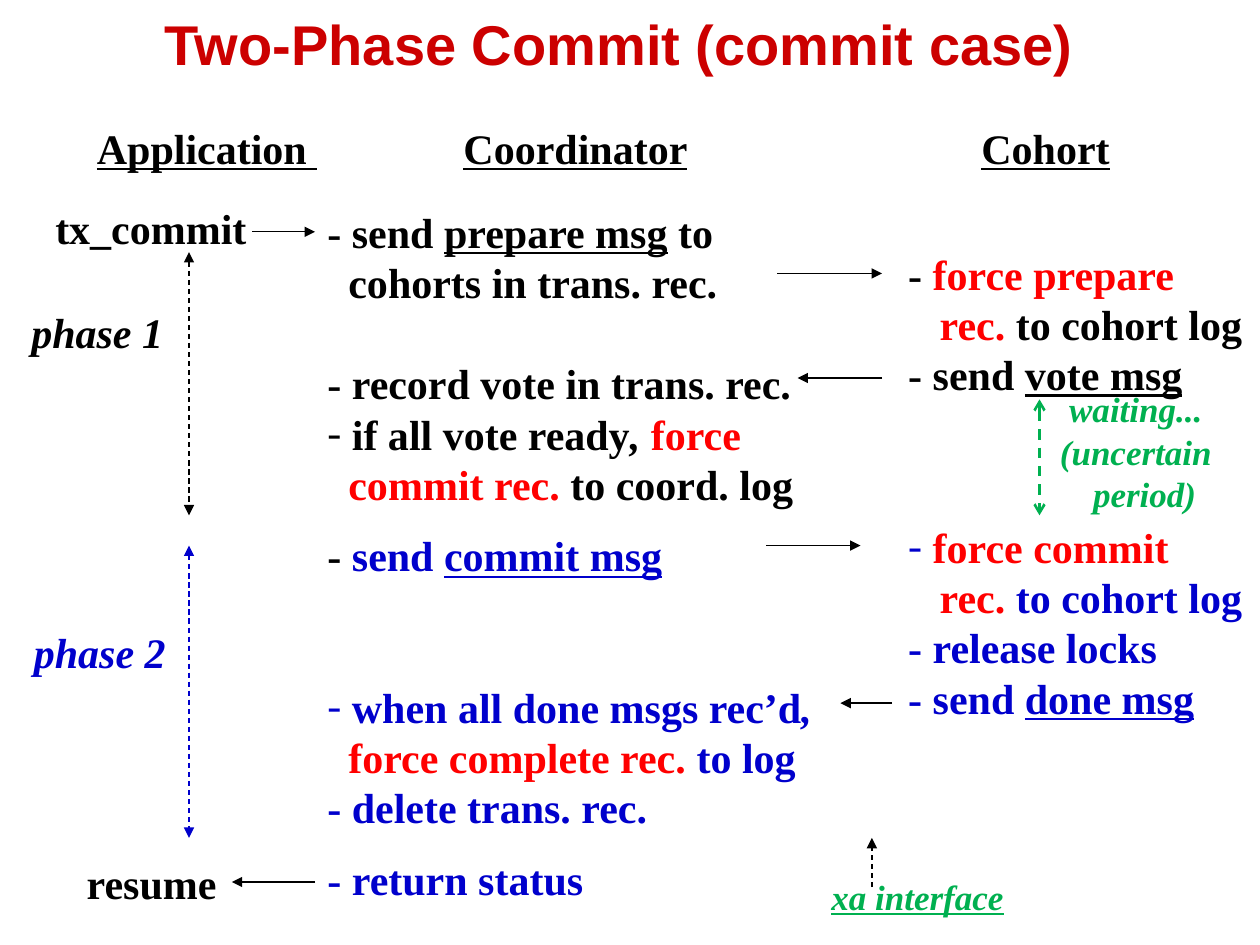
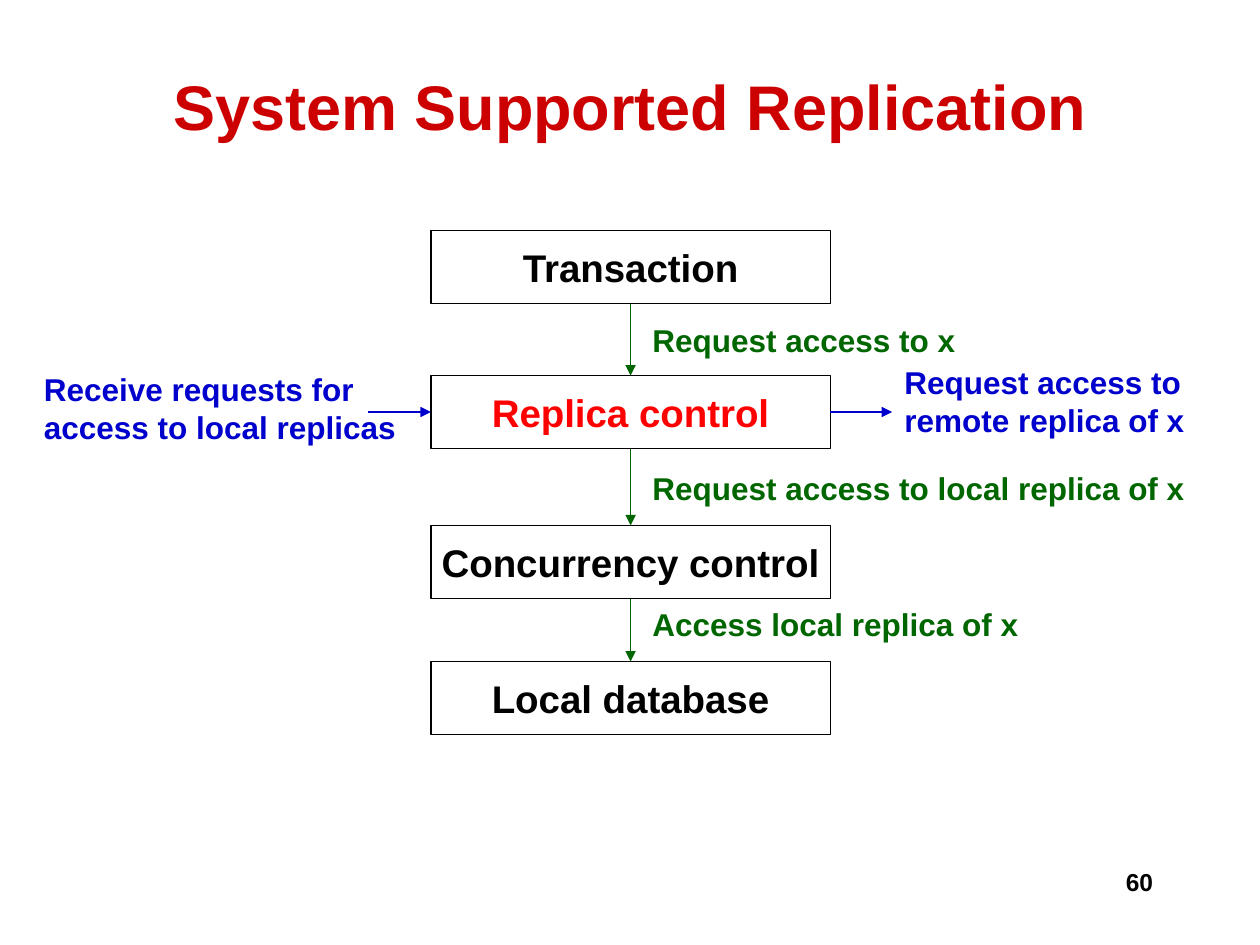
from lxml import etree
from pptx import Presentation
from pptx.dml.color import RGBColor
from pptx.enum.dml import MSO_LINE
from pptx.enum.shapes import MSO_CONNECTOR, MSO_SHAPE
from pptx.enum.text import MSO_ANCHOR, MSO_AUTO_SIZE, PP_ALIGN
from pptx.oxml.ns import qn
from pptx.util import Inches, Pt

BLACK = RGBColor(0x00, 0x00, 0x00)
WHITE = RGBColor(0xFF, 0xFF, 0xFF)
CRIMSON = RGBColor(0xCC, 0x00, 0x00)
RED = RGBColor(0xFF, 0x00, 0x00)
BLUE = RGBColor(0x00, 0x00, 0xCC)
GREEN = RGBColor(0x00, 0x66, 0x00)
LIME = RGBColor(0x00, 0xB0, 0x50)

SANS, SERIF = "Arial", "Times New Roman"
LEFT, CENTER, RIGHT = PP_ALIGN.LEFT, PP_ALIGN.CENTER, PP_ALIGN.RIGHT
MIDDLE = MSO_ANCHOR.MIDDLE
GROW = MSO_AUTO_SIZE.SHAPE_TO_FIT_TEXT
STRAIGHT, RECT, DASH = MSO_CONNECTOR.STRAIGHT, MSO_SHAPE.RECTANGLE, MSO_LINE.DASH
TOP_SIDE, LEFT_SIDE, BOTTOM_SIDE, RIGHT_SIDE = range(4)

TITLE_ONLY = 5
LINE_PITCH = 1.2      # line height relative to the font size
BLANK = 24 * LINE_PITCH   # height of one skipped line, in points
DASH_INDENT = 14      # hanging indent of a dash bullet, in points


# Shared text helpers
def format_paragraph(p, font, size, color, align=LEFT, italic=False):
    p.alignment = align
    p.line_spacing = Pt(size * LINE_PITCH)
    p.font.name, p.font.size = font, Pt(size)
    p.font.bold, p.font.italic = True, italic
    p.font.color.rgb = color


def add_text(slide, left, top, width, height, lines, font, size, color,
             align=LEFT, italic=False, wrap=False):
    """Add a text box with one plain paragraph per line; return its frame."""
    box = slide.shapes.add_textbox(Inches(left), Inches(top),
                                   Inches(width), Inches(height))
    tf = box.text_frame
    tf.word_wrap = wrap
    if not wrap:
        tf.auto_size = GROW
    for i, line in enumerate(lines):
        p = tf.paragraphs[0] if i == 0 else tf.add_paragraph()
        p.text = line
        format_paragraph(p, font, size, color, align, italic)
    return tf


def set_indent(p, points, hanging=False):
    pPr = p._p.get_or_add_pPr()
    pPr.set("marL", str(Pt(points)))
    pPr.set("indent", str(-Pt(points) if hanging else 0))


def set_dash_bullet(p, color):
    set_indent(p, DASH_INDENT, hanging=True)
    pPr = p._p.get_or_add_pPr()
    bu_color = etree.Element(qn("a:buClr"))
    etree.SubElement(bu_color, qn("a:srgbClr"), val=str(color))
    bu_font = etree.Element(qn("a:buFont"), typeface=SERIF)
    bu_char = etree.Element(qn("a:buChar"), char="-")
    for element in (bu_color, bu_font, bu_char):
        pPr.find(qn("a:defRPr")).addprevious(element)


def add_title(slide, text, left, top, width, height, size):
    title = slide.shapes.title
    title.left, title.top = Inches(left), Inches(top)
    title.width, title.height = Inches(width), Inches(height)
    tf = title.text_frame
    tf.text = text
    tf.vertical_anchor = MIDDLE
    format_paragraph(tf.paragraphs[0], SANS, size, CRIMSON, CENTER)


# Shared arrow helper
def add_arrow(slide, x1, y1, x2, y2, color=BLACK, dashed=False,
              head=None, tail="triangle", weight=0.75):
    line = slide.shapes.add_connector(STRAIGHT, Inches(x1), Inches(y1),
                                      Inches(x2), Inches(y2))
    line.line.color.rgb = color
    line.line.width = Pt(weight)
    if dashed:
        line.line.dash_style = DASH
    ln = line.line._get_or_add_ln()
    if head:
        etree.SubElement(ln, qn("a:headEnd"), type=head)
    etree.SubElement(ln, qn("a:tailEnd"), type=tail)
    etree.SubElement(line._element.spPr, qn("a:effectLst"))
    return line


# Slide 1: two-phase commit
def add_steps(slide, left, top, width, height, steps):
    """Each step: (runs, options); each run: (text, colour, style letters)."""
    tf = add_text(slide, left, top, width, height, [""] * len(steps),
                  SERIF, 24, BLACK)
    for p, (runs, options) in zip(tf.paragraphs, steps):
        for text, color, style in runs:
            r = p.add_run()
            r.text = text
            r.font.color.rgb = color
            if "u" in style:
                r.font.underline = True
            if "i" in style:
                r.font.italic = True
        if "before" in options:
            p.space_before = Pt(options["before"])
        if "indent" in options:
            set_indent(p, options["indent"])
        if "bullet" in options:
            set_dash_bullet(p, options["bullet"])


def add_headings(slide, top):
    for left, width, text in ((0.67, 1.95, "Application "),
                              (3.58, 1.98, "Coordinator"),
                              (7.69, 1.22, "Cohort")):
        tf = add_text(slide, left, top, width, 0.5, [text], SERIF, 24, BLACK)
        tf.paragraphs[0].font.underline = True


def add_phase(slide, left, top, height, label, label_left, label_drop, color):
    x = left + 1.35
    add_arrow(slide, x, top, x, top + height, color, True, head="triangle")
    add_text(slide, left + label_left, top + label_drop, 1.26, 0.5, [label],
             SERIF, 24, color, italic=True)


def add_waiting(slide, left, top):
    tf = add_text(slide, left, top, 1.51, 1.21,
                  ["waiting...", "(uncertain", "period)"],
                  SERIF, 20, LIME, CENTER, italic=True, wrap=True)
    set_indent(tf.paragraphs[2], 10)
    add_arrow(slide, left - 0.01, top + 0.14, left - 0.01, top + 1.06,
              LIME, True, head="arrow", tail="arrow", weight=1.5)


def add_xa_interface(slide, left, top):
    tf = add_text(slide, left, top, 1.57, 0.43, ["xa interface"],
                  SERIF, 20, LIME, italic=True)
    tf.paragraphs[0].font.underline = True
    add_arrow(slide, left + 0.42, top + 0.14, left + 0.42, top - 0.25,
              dashed=True)


COORDINATOR_STEPS = [
    ([("- send ", BLACK, ""), ("prepare msg", BLACK, "u"),
      (" to", BLACK, "")], {}),
    ([("cohorts in trans. rec.", BLACK, "")], {"indent": 12}),
    ([("- record vote in trans. rec.", BLACK, "")], {"before": BLANK}),
    ([("if all vote ready", BLACK, ""), (", ", BLACK, "i"),
      ("force", RED, "")], {"bullet": BLACK}),
    ([("commit rec.", RED, ""), (" to coord. log", BLACK, "")],
     {"indent": 12}),
    ([("- ", BLACK, ""), ("send ", BLUE, ""), ("commit msg", BLUE, "u")],
     {"before": 12}),
    ([("when all done msgs rec’d", BLUE, ""), (",", BLUE, "i")],
     {"bullet": BLUE, "before": 2 * BLANK}),
    ([("force complete rec. ", RED, ""), ("to log", BLUE, "")],
     {"indent": 12}),
    ([("- delete trans. rec.", BLUE, "")], {}),
    ([("- return status", BLUE, "")], {"before": 12}),
]

COHORT_STEPS = [
    ([("- ", BLACK, ""), ("force prepare", RED, "")], {}),
    ([("rec.", RED, ""), (" to cohort log", BLACK, "")], {"indent": 18}),
    ([("- send ", BLACK, ""), ("vote msg", BLACK, "u")], {}),
    ([("force commit", RED, "")],
     {"bullet": BLUE, "before": 2 * BLANK + 12}),
    ([("rec.", RED, ""), (" to cohort log", BLUE, "")], {"indent": 18}),
    ([("- release locks", BLUE, "")], {}),
    ([("- send ", BLUE, ""), ("done msg", BLUE, "u")], {}),
]

MESSAGE_ARROWS = [  # from x, to x, y
    (2, 2.5, 1.84), (6.17, 7, 2.17), (7, 6.33, 3),
    (6.08, 6.83, 4.33), (7.08, 6.67, 5.58), (2.5, 1.84, 7),
]


def build_commit_slide(prs):
    slide = prs.slides.add_slide(prs.slide_layouts[TITLE_ONLY])
    add_title(slide, "Two-Phase Commit (commit case)", 0.33, 0, 9.17, 0.68, 32)
    add_headings(slide, 0.92)
    add_text(slide, 0.34, 1.56, 1.72, 0.5, ["tx_commit"], SERIF, 24, BLACK)
    add_text(slide, 0.59, 6.76, 1.23, 0.5, ["resume"], SERIF, 24, BLACK)
    add_steps(slide, 2.5, 1.59, 4.05, 5.69, COORDINATOR_STEPS)
    add_steps(slide, 7.11, 1.92, 2.85, 3.9, COHORT_STEPS)
    add_phase(slide, 0.15, 2, 2.09, "phase 1", 0, 0.38, BLACK)
    add_phase(slide, 0.15, 4.33, 2.32, "phase 2", 0.02, 0.59, BLUE)
    for x1, x2, y in MESSAGE_ARROWS:
        add_arrow(slide, x1, y, x2, y)
    add_waiting(slide, 8.26, 3.03)
    add_xa_interface(slide, 6.5, 6.9)


# Slide 2: replication layers
def add_layer(slide, left, top, name, color):
    sp = slide.shapes.add_shape(RECT, Inches(left), Inches(top),
                                Inches(3.17), Inches(0.58))
    sp.shadow.inherit = False
    sp.fill.solid()
    sp.fill.fore_color.rgb = WHITE
    sp.line.color.rgb = BLACK
    sp.line.width = Pt(0.75)
    tf = sp.text_frame
    tf.word_wrap = False
    tf.vertical_anchor = MIDDLE
    tf.text = name
    format_paragraph(tf.paragraphs[0], SANS, 22, color, CENTER)
    return sp


def add_layer_stack(slide, left):
    layers = [add_layer(slide, left, top, name, color) for top, name, color in (
        (1.83, "Transaction", BLACK), (2.98, "Replica control", RED),
        (4.17, "Concurrency control", BLACK), (5.25, "Local database", BLACK))]
    for upper, lower in zip(layers, layers[1:]):
        arrow = add_arrow(slide, 5, 2.4, 5, 3, GREEN)
        arrow.begin_connect(upper, BOTTOM_SIDE)
        arrow.end_connect(lower, TOP_SIDE)
    for top, width, text in ((2.5, 2.64, "Request access to x"),
                             (3.67, 4.46, "Request access to local replica of x"),
                             (4.75, 3.14, "Access local replica of x")):
        add_text(slide, left + 1.66, top, width, 0.4, [text], SANS, 18, GREEN)
    return layers


def add_remote_links(slide, replica_control, y):
    add_text(slide, 7.08, y - 0.44, 2.47, 0.7,
             ["Request access to", "remote replica of x"], SANS, 18, BLUE)
    add_text(slide, 0.25, y - 0.38, 2.99, 0.7,
             ["Receive requests for", "access to local replicas"],
             SANS, 18, BLUE)
    outgoing = add_arrow(slide, 6.59, y, 7.08, y, BLUE)
    outgoing.begin_connect(replica_control, RIGHT_SIDE)
    incoming = add_arrow(slide, 2.92, y, 3.42, y, BLUE)
    incoming.end_connect(replica_control, LEFT_SIDE)


def build_replication_slide(prs):
    slide = prs.slides.add_slide(prs.slide_layouts[TITLE_ONLY])
    add_title(slide, "System Supported Replication", 0.75, 0.42, 8.5, 0.83, 36)
    layers = add_layer_stack(slide, 3.42)
    add_remote_links(slide, layers[1], 3.27)
    # Page number
    add_text(slide, 7.17, 6.83, 2.08, 0.5, ["60"], SANS, 14, BLACK, RIGHT,
             wrap=True)


def main():
    prs = Presentation()
    prs.slide_width, prs.slide_height = Inches(10), Inches(7.5)
    build_commit_slide(prs)
    build_replication_slide(prs)
    prs.save("out.pptx")


if __name__ == "__main__":
    main()
